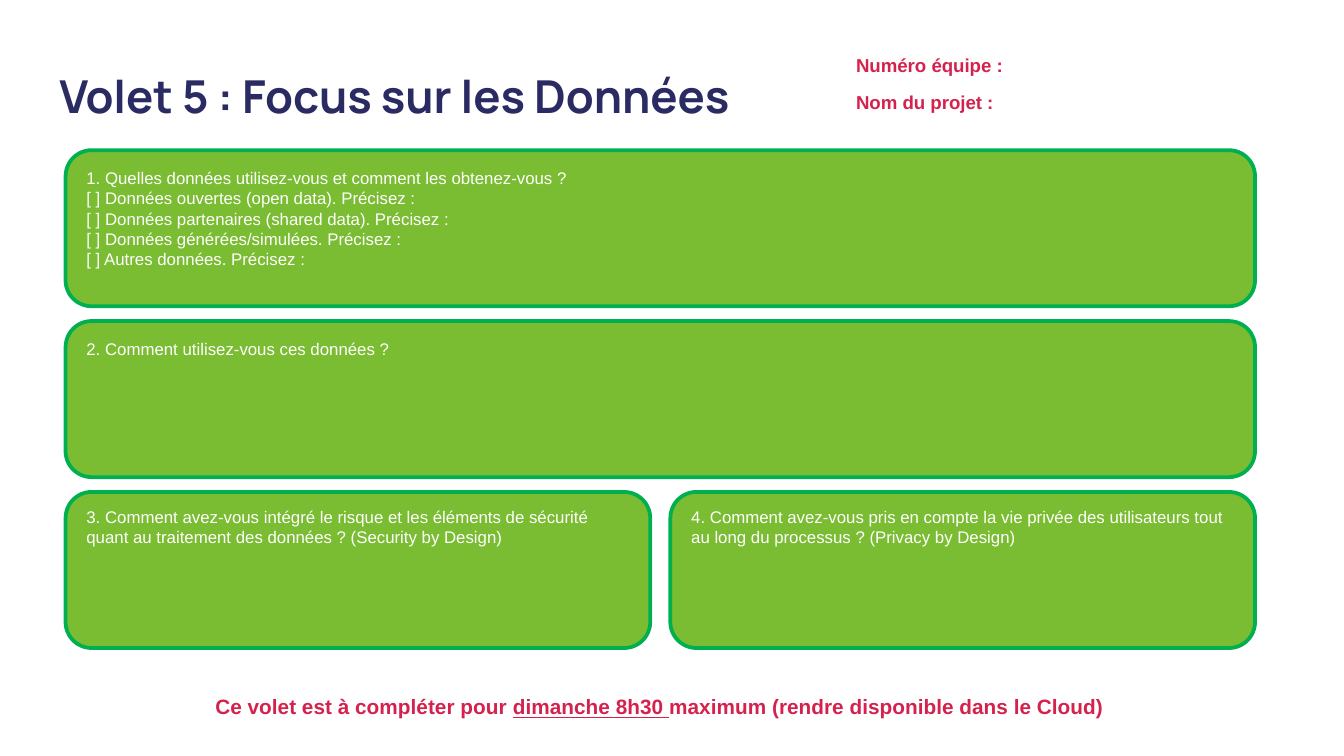
from pptx import Presentation
from pptx.dml.color import RGBColor
from pptx.enum.shapes import MSO_SHAPE
from pptx.enum.text import MSO_ANCHOR, MSO_AUTO_SIZE, PP_ALIGN
from pptx.util import Cm, Pt

ROUNDED = MSO_SHAPE.ROUNDED_RECTANGLE
TOP = MSO_ANCHOR.TOP
NO_AUTOFIT = MSO_AUTO_SIZE.NONE
LEFT, CENTER = PP_ALIGN.LEFT, PP_ALIGN.CENTER

MARGIN, FULL_WIDTH, HALF_WIDTH = 1.24, 22.48, 11.05
FIRST_ROW, CARD_HEIGHT, ROW_STEP = 2.84, 2.95, 3.23
RIGHT_COLUMN = MARGIN + FULL_WIDTH - HALF_WIDTH


def color(value):
    return RGBColor.from_string(value)


class SlideBuilder:
    navy, red = "2A2B62", "D5214D"
    green, border, white = "7ABC32", "00B050", "FFFFFF"
    title_font, body_font = "Manrope", "Arial"

    def __init__(self, presentation):
        self.slide = presentation.slides.add_slide(presentation.slide_layouts[5])

    def frame(self, shape, inset=0.25):
        """Prepare a wrapped, top-anchored text frame."""
        text_frame = shape.text_frame
        text_frame.word_wrap = True
        text_frame.auto_size = NO_AUTOFIT
        text_frame.vertical_anchor = TOP
        text_frame.margin_left = text_frame.margin_right = Cm(0.25)
        text_frame.margin_top = text_frame.margin_bottom = Cm(inset)
        return text_frame

    def format(self, text_frame, size, text_color, font=body_font, bold=False,
               align=LEFT, spacing=1.0):
        for paragraph in text_frame.paragraphs:
            paragraph.alignment = align
            paragraph.line_spacing = spacing
            for run in paragraph.runs:
                run.font.name = font
                run.font.size = Pt(size)
                run.font.bold = bold
                run.font.color.rgb = color(text_color)

    def title(self, text, left, top, width, height):
        shape = self.slide.shapes.title
        shape.left, shape.top = Cm(left), Cm(top)
        shape.width, shape.height = Cm(width), Cm(height)
        text_frame = self.frame(shape)
        text_frame.text = text
        self.format(text_frame, 24.3, self.navy, self.title_font, bold=True)

    def text(self, runs, left, top, width, height, size, align=LEFT):
        """Add red bold text from (text, underlined) pairs."""
        shape = self.slide.shapes.add_textbox(
            Cm(left), Cm(top), Cm(width), Cm(height))
        text_frame = self.frame(shape)
        paragraph = text_frame.paragraphs[0]
        for text, underlined in runs:
            run = paragraph.add_run()
            run.text = text
            run.font.underline = underlined
        self.format(text_frame, size, self.red, bold=True, align=align, spacing=1.15)
        return text_frame

    def fields(self, labels, left, top, width, height):
        text_frame = self.text([(labels[0], False)], left, top, width, height, 10)
        for label in labels[1:]:
            paragraph = text_frame.add_paragraph()
            paragraph.text = label
            paragraph.space_before = paragraph.space_after = Pt(6)
        self.format(text_frame, 10, self.red, bold=True, spacing=1.15)

    def card(self, text, left, row, width, inset):
        shape = self.slide.shapes.add_shape(
            ROUNDED, Cm(left), Cm(FIRST_ROW + row * ROW_STEP),
            Cm(width), Cm(CARD_HEIGHT))
        shape.shadow.inherit = False
        shape.fill.solid()
        shape.fill.fore_color.rgb = color(self.green)
        shape.line.color.rgb = color(self.border)
        shape.line.width = Pt(2)
        text_frame = self.frame(shape, inset)
        text_frame.text = text
        self.format(text_frame, 9, self.white)


def main():
    presentation = Presentation()
    presentation.slide_width, presentation.slide_height = Cm(25.4), Cm(14.29)
    builder = SlideBuilder(presentation)

    builder.title("Volet 5 : Focus sur les Données", 0.87, 1.04, 23.67, 1.6)
    builder.fields(["Numéro équipe :", "Nom du projet :"], 15.93, 0.71, 7.77, 2.03)

    data_sources = "\n".join([
        "1. Quelles données utilisez-vous et comment les obtenez-vous ?",
        "[ ] Données ouvertes (open data). Précisez :",
        "[ ] Données partenaires (shared data). Précisez :",
        "[ ] Données générées/simulées. Précisez :",
        "[ ] Autres données. Précisez :",
    ])
    cards = [
        (data_sources, MARGIN, 0, FULL_WIDTH, 0.19),
        ("2. Comment utilisez-vous ces données ?", MARGIN, 1, FULL_WIDTH, 0.19),
        ("3. Comment avez-vous intégré le risque et les éléments de sécurité "
         "quant au traitement des données ? (Security by Design)",
         MARGIN, 2, HALF_WIDTH, 0.13),
        ("4. Comment avez-vous pris en compte la vie privée des utilisateurs tout "
         "au long du processus ? (Privacy by Design)",
         RIGHT_COLUMN, 2, HALF_WIDTH, 0.13),
    ]
    for card in cards:
        builder.card(*card)

    deadline = [
        ("Ce volet est à compléter pour ", False),
        ("dimanche 8h30 ", True),
        ("maximum (rendre disponible dans le Cloud)", False),
    ]
    builder.text(deadline, 3.33, 12.8, 18.26, 1.49, 11.1, CENTER)

    presentation.save("out.pptx")


if __name__ == "__main__":
    main()
